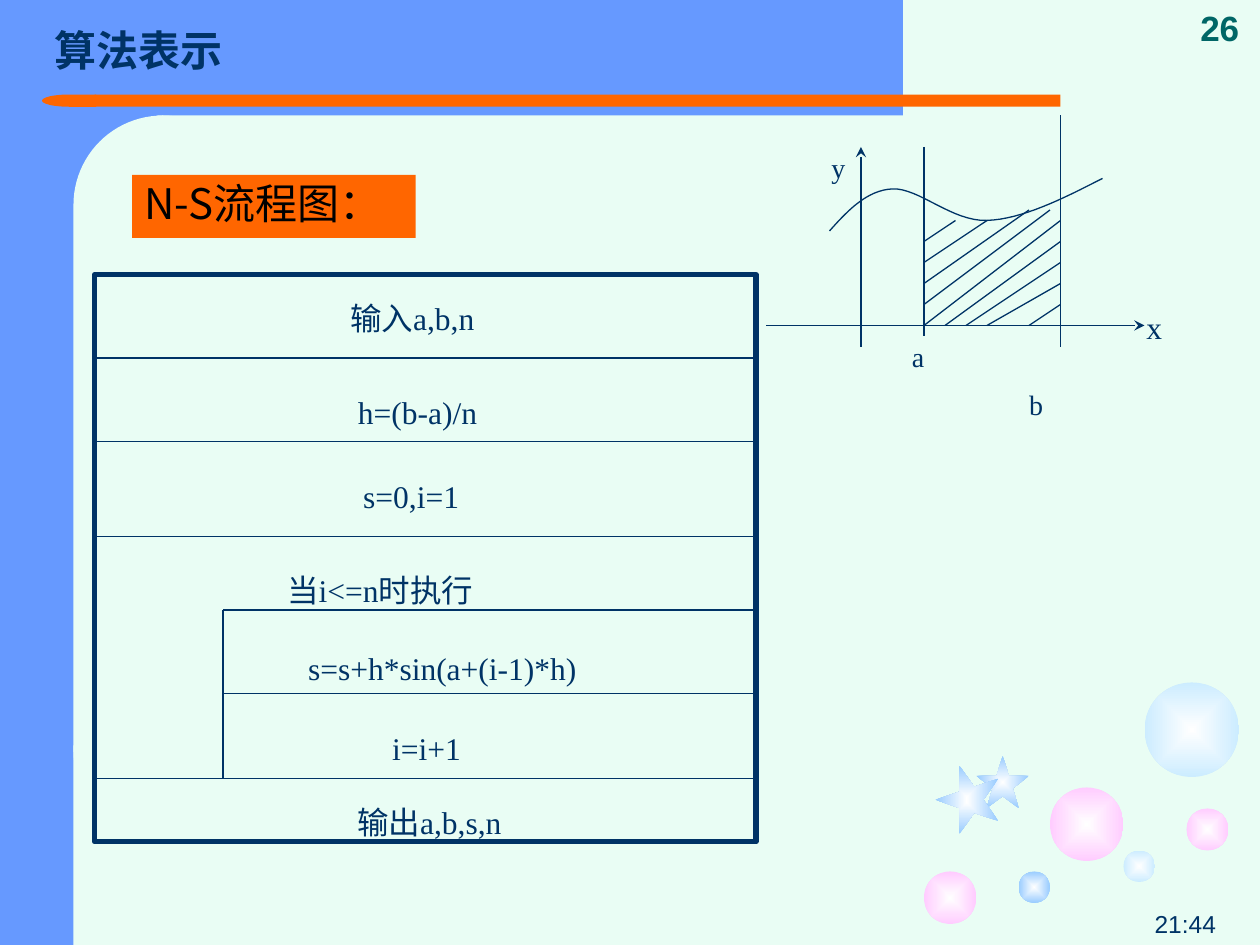
from lxml.etree import SubElement
from pptx import Presentation
from pptx.dml.color import RGBColor
from pptx.enum.shapes import MSO_CONNECTOR, MSO_SHAPE
from pptx.enum.text import MSO_ANCHOR, MSO_AUTO_SIZE, PP_ALIGN
from pptx.oxml.ns import qn
from pptx.util import Pt

NAVY = RGBColor(0x00, 0x33, 0x66)
TEAL = RGBColor(0x00, 0x66, 0x66)
BLUE = RGBColor(0x66, 0x99, 0xFF)
ORANGE = RGBColor(0xFF, 0x66, 0x00)
MINT = RGBColor(0xE9, 0xFD, 0xF4)
PINK = RGBColor(0xFF, 0xCC, 0xFF)
PALE = RGBColor(0xCC, 0xEC, 0xFF)
SKY = RGBColor(0x99, 0xCC, 0xFF)
WHITE = RGBColor(0xFF, 0xFF, 0xFF)
BLACK = RGBColor(0x00, 0x00, 0x00)
SERIF, SANS, CHINESE = "Times New Roman", "Arial", "Noto Sans CJK SC"

RECT, ROUND = MSO_SHAPE.RECTANGLE, MSO_SHAPE.ROUNDED_RECTANGLE
OVAL, STAR = MSO_SHAPE.OVAL, MSO_SHAPE.STAR_5_POINT
PANELS = [
    (RECT, (0, 0, 90, 540), BLUE, 0),
    (RECT, (36, 0, 480, 66), BLUE, 0),
    (ROUND, (42, 66, 102, 414), MINT, 0),
    (RECT, (54, 54, 552, 7), ORANGE, 0),
    (MSO_SHAPE.FLOWCHART_DELAY, (24, 54, 31, 7), ORANGE, 180),
    (RECT, (42, 426, 102, 114), MINT, 0),
]
ORNAMENTS = [
    (OVAL, (600, 450, 42, 42), PINK, 0),
    (OVAL, (528, 498, 30, 30), PINK, 0),
    (OVAL, (642, 486, 18, 18), PALE, 0),
    (OVAL, (678, 462, 24, 24), PINK, 0),
    (OVAL, (654, 390, 54, 54), PALE, 0),
    (OVAL, (582, 498, 18, 18), SKY, 0),
    (STAR, (558, 432, 30, 30), SKY, 0),
    (STAR, (533, 439, 39, 36), SKY, 270),
]
STEPS = [
    ("输入a,b,n", 193, 168.5),
    ("h=(b-a)/n", 197.5, 222.5),
    ("s=0,i=1", 200.5, 270.5),
    ("当i<=n时执行", 157, 324),
    ("s=s+h*sin(a+(i-1)*h)", 169, 368.5),
    ("i=i+1", 217, 414.5),
    ("输出a,b,s,n", 197, 456.5),
]
FRAME = (54, 157, 378, 324)
LEFT, INNER, RIGHT = 55.5, 127.5, 433.5
OUTER_RULES = [204.5, 252.5, 306.5, 445]
INNER_RULES = [348.5, 396.5]

A_X, B_X, AXIS_Y = 528, 606, 186
AXES = [(438, AXIS_Y, 654, AXIS_Y), (492, 198, 492, 84)]
BOUNDS = [(B_X, 66, B_X, 198), (A_X, 84, A_X, 192)]
HATCH_FROM_A = [(546, 126), (564, 126), (588, 120), (600, 120), (B_X, 126)]
HATCH_FROM_AXIS = [540, 552, 564, 588]
HATCH_STEP = 12
CURVE_START = (474, 132)
CURVE = [
    ((484.6, 120.2), (495.4, 108.7), (510, 108)),
    ((525, 107.3), (544, 126.7), (564, 126)),
    ((584, 125.3), (607, 113.8), (630, 102)),
]
GRAPH_LABELS = [
    ("y", (468, 84, 30, 27), 16),
    ("x", (648, 174, 24, 29), 18),
    ("a", (514, 192, 36, 27), 16),
    ("b", (581, 219, 30, 27), 16),
]


def write(shape, text, size=18, font=SERIF, color=NAVY, bold=False,
          align=PP_ALIGN.LEFT, anchor=MSO_ANCHOR.TOP, spacing=0.96):
    frame = shape.text_frame
    frame.word_wrap = True
    frame.auto_size = MSO_AUTO_SIZE.NONE
    frame.vertical_anchor = anchor
    paragraph = frame.paragraphs[0]
    paragraph.alignment = align
    paragraph.line_spacing = spacing
    run = paragraph.add_run()
    run.text = text
    run.font.size = Pt(size)
    run.font.bold = bold
    run.font.color.rgb = color
    run.font.name = font
    SubElement(run.font._element, qn("a:ea")).set("typeface", CHINESE)


def add_text(slide, text, box, **style):
    write(slide.shapes.add_textbox(*map(Pt, box)), text, **style)


def add_shape(slide, kind, box, fill=None, rotation=0, glow=False):
    shape = slide.shapes.add_shape(kind, *map(Pt, box))
    shape.shadow.inherit = False
    shape.line.fill.background()
    shape.rotation = rotation
    if kind == ROUND:
        shape.adjustments[0] = 0.5
    if glow:
        shape.fill.gradient()
        for stop, color in zip(shape.fill.gradient_stops, (WHITE, fill)):
            stop.color.rgb = color
        gradient = shape._element.spPr.find(qn("a:gradFill"))
        gradient.remove(gradient.find(qn("a:lin")))
        center = SubElement(gradient, qn("a:path"))
        center.set("path", "shape")
        rectangle = SubElement(center, qn("a:fillToRect"))
        for side in "ltrb":
            rectangle.set(side, "50000")
    elif fill is None:
        shape.fill.background()
    else:
        shape.fill.solid()
        shape.fill.fore_color.rgb = fill
    return shape


def set_line(shape, width=0.75):
    shape.line.color.rgb = NAVY
    shape.line.width = Pt(width)


def add_line(slide, points, arrow=False):
    line = slide.shapes.add_connector(MSO_CONNECTOR.STRAIGHT, *map(Pt, points))
    set_line(line)
    if arrow:
        SubElement(line.line._get_or_add_ln(), qn("a:tailEnd")).set("type", "stealth")
    SubElement(line._element.spPr, qn("a:effectLst"))


def curve_points(pieces=16):
    start = CURVE_START
    for first, second, end in CURVE:
        for step in range(1, pieces + 1):
            t = step / pieces
            weights = ((1 - t) ** 3, 3 * t * (1 - t) ** 2, 3 * t * t * (1 - t), t ** 3)
            yield tuple(Pt(sum(w * v for w, v in zip(weights, values)))
                        for values in zip(start, first, second, end))
        start = end


def add_flowchart(slide):
    set_line(add_shape(slide, RECT, FRAME), 3)
    for y in OUTER_RULES:
        add_line(slide, (LEFT, y, RIGHT, y))
    add_line(slide, (INNER, OUTER_RULES[-1], INNER, INNER_RULES[0]))
    for y in INNER_RULES:
        add_line(slide, (INNER, y, RIGHT, y))
    for text, left, top in STEPS:
        add_text(slide, text, (left, top, 216, 29))


def add_graph(slide):
    for axis in AXES:
        add_line(slide, axis, arrow=True)
    for bound in BOUNDS:
        add_line(slide, bound)
    builder = slide.shapes.build_freeform(*map(Pt, CURVE_START))
    builder.add_line_segments(list(curve_points()), close=False)
    curve = builder.convert_to_shape()
    curve.shadow.inherit = False
    curve.fill.background()
    set_line(curve)
    for index, (x, y) in enumerate(HATCH_FROM_A):
        add_line(slide, (x, y, A_X, 138 + index * HATCH_STEP))
    for index, x in enumerate(HATCH_FROM_AXIS):
        add_line(slide, (B_X, 138 + index * HATCH_STEP, x, AXIS_Y))
    for text, box, size in GRAPH_LABELS:
        add_text(slide, text, box, size=size)


def main():
    """Build the algorithm slide with its N-S flowchart and integral graph."""
    presentation = Presentation()
    presentation.slide_width, presentation.slide_height = Pt(720), Pt(540)
    slide = presentation.slides.add_slide(presentation.slide_layouts[5])
    slide.background.fill.solid()
    slide.background.fill.fore_color.rgb = MINT
    for kind, box, color, rotation in PANELS:
        add_shape(slide, kind, box, color, rotation)
    for kind, box, color, rotation in ORNAMENTS:
        add_shape(slide, kind, box, color, rotation, glow=True)
    add_text(slide, "21:44", (552, 516, 150, 24), size=14, font=SANS,
             align=PP_ALIGN.RIGHT, anchor=MSO_ANCHOR.BOTTOM, spacing=1.0)
    add_text(slide, "26", (674, 0, 46, 31), size=20, font=SANS, color=TEAL, bold=True,
             align=PP_ALIGN.CENTER, anchor=MSO_ANCHOR.BOTTOM, spacing=1.0)
    title = slide.shapes.title
    title.left, title.top, title.width, title.height = map(Pt, (24, 0, 606, 60))
    write(title, "算法表示", size=24, font=CHINESE, bold=True,
          anchor=MSO_ANCHOR.MIDDLE, spacing=0.9)
    slide.shapes._spTree.append(title._element)
    add_flowchart(slide)
    heading = add_shape(slide, RECT, (75.5, 100, 162, 36), ORANGE)
    write(heading, "N-S流程图：", size=24, font=CHINESE, color=BLACK)
    add_graph(slide)
    presentation.save("out.pptx")


if __name__ == "__main__":
    main()
